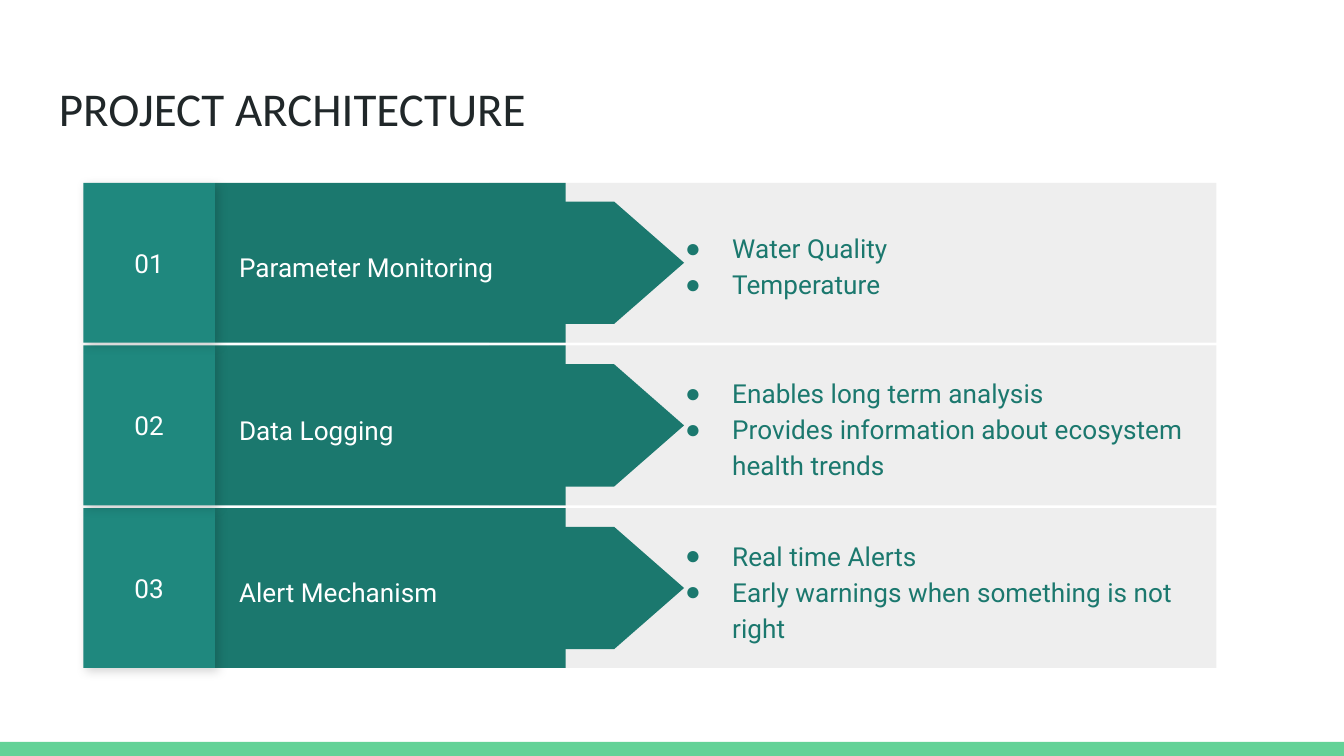
from lxml.etree import SubElement
from pptx import Presentation
from pptx.dml.color import RGBColor
from pptx.enum.shapes import MSO_SHAPE
from pptx.enum.text import MSO_ANCHOR, PP_ALIGN
from pptx.oxml.ns import qn
from pptx.util import Inches, Pt

TITLE = "PROJECT ARCHITECTURE"
ROWS = [
    ("01", "Parameter Monitoring", ["Water Quality", "Temperature"]),
    ("02", "Data Logging", ["Enables long term analysis",
                            "Provides information about ecosystem health trends"]),
    ("03", "Alert Mechanism", ["Real time Alerts",
                               "Early warnings when something is not right"]),
]
COLORS = {"footer": "63D297", "title": "202729", "panel": "EEEEEE", "teal": "1B786E",
          "number": "1F887E", "shadow": "000000", "white": "FFFFFF"}
ROW_TOP, ROW_PITCH, ROW_H = 1.36, 1.21, 1.19


def add_block(s, x, y, w, h, color, kind=MSO_SHAPE.RECTANGLE):
    sp = s.shapes.add_shape(kind, Inches(x), Inches(y), Inches(w), Inches(h))
    sp.shadow.inherit = False
    sp.fill.solid()
    sp.fill.fore_color.rgb = RGBColor.from_string(COLORS[color])
    sp.line.fill.background()
    return sp


def add_shadow(sp):
    effects = sp._element.spPr.find(qn("a:effectLst"))
    shadow = SubElement(effects, qn("a:outerShdw"), blurRad=str(Pt(5.6)),
                        dist=str(Pt(2.2)), dir=str(45 * 60000),
                        algn="bl", rotWithShape="0")
    color = SubElement(shadow, qn("a:srgbClr"), val=COLORS["shadow"])
    SubElement(color, qn("a:alpha"), val="17000")


def add_bullet(p):
    pPr = p._p.get_or_add_pPr()
    pPr.set("marL", str(Inches(0.5)))
    pPr.set("indent", str(Inches(-0.35)))
    color = SubElement(pPr, qn("a:buClr"))
    SubElement(color, qn("a:srgbClr"), val=COLORS["teal"])
    SubElement(pPr, qn("a:buFont"), typeface="Arial")
    SubElement(pPr, qn("a:buChar"), char="●")


def write(sp, lines, color, size=14, font="Roboto", anchor=MSO_ANCHOR.MIDDLE,
          align=PP_ALIGN.LEFT, spacing=1.15, bullets=False):
    tf = sp.text_frame
    tf.word_wrap = True
    tf.vertical_anchor = anchor
    tf.margin_left = tf.margin_right = tf.margin_top = tf.margin_bottom = Inches(0.1)
    tf.text = "\n".join(lines)
    for p in tf.paragraphs:
        p.alignment = align
        p.line_spacing = spacing
        if bullets:
            add_bullet(p)
        for r in p.runs:
            r.font.size = Pt(size)
            r.font.name = font
            r.font.color.rgb = RGBColor.from_string(COLORS[color])


def add_text(s, x, y, w, h, lines, color, **style):
    tb = s.shapes.add_textbox(Inches(x), Inches(y), Inches(w), Inches(h))
    write(tb, lines, color, **style)


def add_row(s, y, number, label, points):
    add_block(s, 3.64, y, 5.41, ROW_H, "panel")
    add_block(s, 1.6, y, 2.61, ROW_H, "teal")
    # Upright frame, turned about its centre to point right
    w, h = 0.91, 2.6
    arrow = add_block(s, 3.79 - w / 2, y + (ROW_H - h) / 2, w, h, "teal",
                      MSO_SHAPE.FLOWCHART_OFFPAGE_CONNECTOR)
    arrow.rotation = 270
    add_text(s, 1.68, y + 0.15, 2.75, 0.92, [label], "white")
    tile = add_block(s, 0.62, y, 0.98, ROW_H, "number")
    add_shadow(tile)
    write(tile, [number], "white", align=PP_ALIGN.CENTER, spacing=1.0)
    add_text(s, 4.85, y + 0.01, 4.2, ROW_H, points, "teal", bullets=True)


def main():
    prs = Presentation()
    prs.slide_width = Inches(10)
    prs.slide_height = prs.slide_width * 9 // 16
    s = prs.slides.add_slide(prs.slide_layouts[6])
    add_block(s, 0, 5.52, 10, 0.11, "footer")
    add_text(s, 0.34, 0.49, 9.32, 0.63, [TITLE], "title", size=25.2,
             font="Calibri", anchor=MSO_ANCHOR.TOP, spacing=1.0)
    # Bottom row first, so each tile's shadow falls on the row below
    for i, row in reversed(list(enumerate(ROWS))):
        add_row(s, ROW_TOP + i * ROW_PITCH, *row)
    prs.save("out.pptx")


if __name__ == "__main__":
    main()
